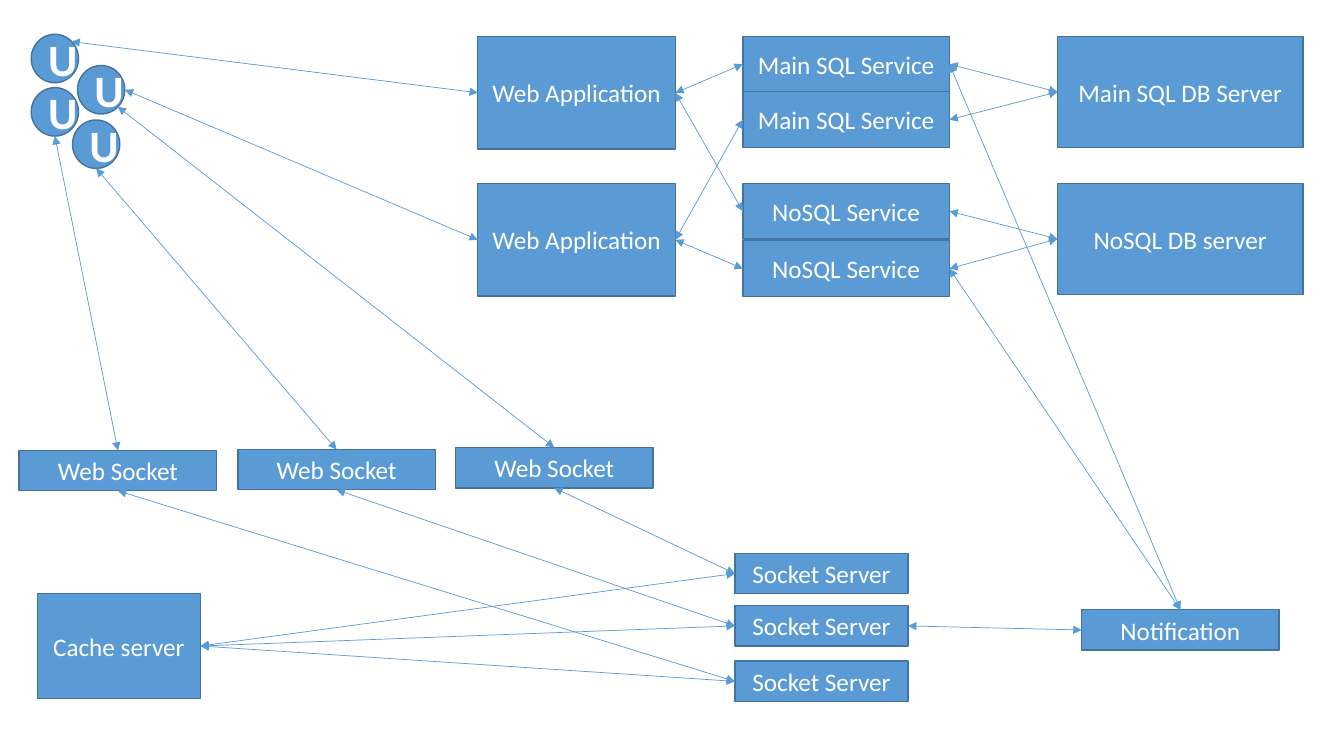
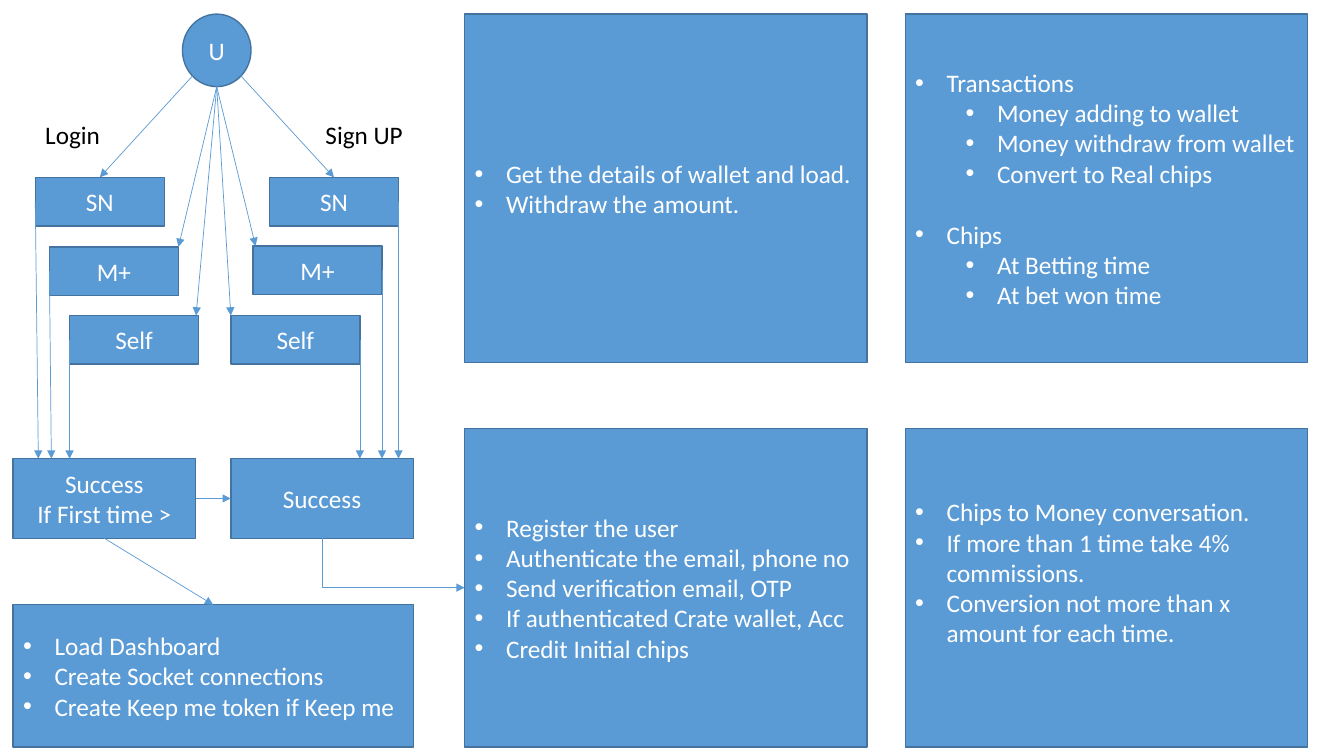
import pptx
import pptx.util
import pptx.dml.color
import pptx.enum.shapes
import pptx.enum.text
import pptx.oxml
import pptx.oxml.ns
from dataclasses import dataclass

Pt = pptx.util.Pt
RGB = pptx.dml.color.RGBColor.from_string
SHAPE = pptx.enum.shapes.MSO_SHAPE
CONNECTOR = pptx.enum.shapes.MSO_CONNECTOR
ALIGN = pptx.enum.text.PP_ALIGN


@dataclass(frozen=True)
class Theme:
    fill: str = "5B9BD5"
    outline: str = "43739E"
    light: str = "FFFFFF"
    dark: str = "000000"
    font: str = "Calibri"
    text_size: float = 18
    user_size: float = 32
    outline_width: float = 1
    arrow_width: float = 0.5
    bullet_indent: float = 22.5
    level_step: float = 36
    group_gap: float = 22


THEME = Theme()

# Architecture content: name, text, left, top; grouped by shared size
USERS = [("user 1", 22.3, 24.5), ("user 2", 55.4, 46.8),
         ("user 3", 22.3, 62.6), ("user 4", 51.8, 85.7)]
USER_SIZE = (33.8, 34.6)
SERVER_GROUPS = [
    ((175.5, 79.4), [("sql db", "Main SQL DB Server", 755.3, 26),
                     ("nosql db", "NoSQL DB server", 755.3, 131)]),
    ((147.6, 39.8), [("sql 1", "Main SQL Service", 530.6, 26),
                     ("sql 2", "Main SQL Service", 530.6, 65.6),
                     ("nosql 1", "NoSQL Service", 530.6, 131),
                     ("nosql 2", "NoSQL Service", 530.6, 172)]),
    ((141.1, 80.6), [("web 1", "Web Application", 341.3, 26),
                     ("web 2", "Web Application", 341.3, 131)]),
    ((123.8, 28.8), [("server 1", "Socket Server", 524.9, 395.3),
                     ("server 2", "Socket Server", 524.9, 432.7),
                     ("server 3", "Socket Server", 524.9, 472.3)]),
    ((141.1, 28.8), [("socket 1", "Web Socket", 13.7, 321.8),
                     ("socket 2", "Web Socket", 169.9, 321.1),
                     ("socket 3", "Web Socket", 325.4, 319.7),
                     ("notification", "Notification", 772.6, 435.6)]),
    ((116.6, 74.9), [("cache", "Cache server", 26.6, 424)]),
]
SERVER_LINKS = [
    ("user 3", "bottom", "socket 1", "top"),
    ("user 1", "top right", "web 1", "left"),
    ("user 2", "right", "web 2", "left"),
    ("user 4", "bottom", "socket 2", "top"),
    ("user 2", "bottom right", "socket 3", "top"),
    ("cache", "right", "server 1", "left"),
    ("cache", "right", "server 2", "left"),
    ("server 3", "left", "cache", "right"),
    ("notification", "left", "server 2", "right"),
    ("socket 1", "bottom", "server 3", "left"),
    ("socket 2", "bottom", "server 2", "left"),
    ("socket 3", "bottom", "server 1", "left"),
    ("sql 1", "right", "sql db", "left"),
    ("sql 2", "right", "sql db", "left"),
    ("nosql 1", "right", "nosql db", "left"),
    ("nosql 2", "right", "nosql db", "left"),
    ("web 1", "right", "sql 1", "left"),
    ("web 1", "right", "nosql 1", "left"),
    ("web 2", "right", "sql 2", "left"),
    ("web 2", "right", "nosql 2", "left"),
    ("sql 1", "right", "notification", "top"),
    ("nosql 2", "right", "notification", "top"),
]

# Sign-in content
CHOICE_SIZE = (92.2, 34.6)
# side, text, left, top, where the spoke arrives, how far in the drop lands
CHOICES = [
    ("login", "SN", 25.2, 126.7, "top", 18),
    ("login", "M+", 35.3, 176.4, (1, 0), 27.3),
    ("login", "Self", 49.7, 225.4, (0.98, 0), 40.3),
    ("signup", "SN", 192.5, 126.7, "top", 119.8),
    ("signup", "M+", 180.7, 175.7, (0.02, 0), 108),
    ("signup", "Self", 164.9, 225.4, (0, 0), 92.2),
]
SPOKE_STARTS = {("login", "SN"): "bottom left", ("signup", "SN"): "bottom right"}
DROP_SIDES = {"login": "left", "signup": "right"}
RESULT_SIZE = (130.3, 56.9)
RESULTS = [("login", "Success\nIf First time >", 9.4, 327.6),
           ("signup", "Success", 164.9, 327.6)]
LABELS = [("Login", 25.2, 81.4, 54, 28.8), ("Sign UP", 225.4, 81.4, 70.6, 28.8)]
# name, box, bullets as (level, text), extra space under the list
PANELS = [
    ("register", (331.9, 306, 287.3, 227.5), [
        (0, "Register the user"),
        (0, "Authenticate the email, phone no"),
        (0, "Send verification email, OTP"),
        (0, "If authenticated Crate wallet, Acc"),
        (0, "Credit Initial chips")], 0),
    ("dashboard", (9.4, 432, 285.8, 101.5), [
        (0, "Load Dashboard"),
        (0, "Create Socket connections"),
        (0, "Create Keep me token if Keep me")], 0),
    ("wallet", (331.9, 10.1, 287.3, 249.1), [
        (0, "Get the details of wallet and load."),
        (0, "Withdraw the amount.")], 0),
    ("transactions", (646.6, 10.1, 287.3, 249.1), [
        (0, "Transactions"),
        (1, "Money adding to wallet"),
        (1, "Money withdraw from wallet"),
        (1, "Convert to Real chips"),
        (0, "Chips"),
        (1, "At Betting time"),
        (1, "At bet won time")], 0),
    ("conversion", (646.6, 306, 287.3, 227.5), [
        (0, "Chips to Money conversation."),
        (0, "If more than 1 time take 4% commissions."),
        (0, "Conversion not more than x amount for each time.")], THEME.group_gap),
]

# Places on a shape's edge, as fractions of its width and height
ANCHORS = {
    "top": (0.5, 0), "left": (0, 0.5), "bottom": (0.5, 1), "right": (1, 0.5),
    "top right": (0.85, 0.15), "bottom left": (0.15, 0.85),
    "bottom right": (0.85, 0.85),
}
RECTANGLE_SITES = {"top": 0, "left": 1, "bottom": 2, "right": 3}


def add_xml(parent, tag, **attributes):
    element = pptx.oxml.parse_xml(f"<a:{tag} {pptx.oxml.ns.nsdecls('a')}/>")
    for name, value in attributes.items():
        element.set(name, str(value))
    parent.append(element)


def format_text(paragraph, color, size=THEME.text_size, bold=False):
    for run in paragraph.runs:
        run.font.name = THEME.font
        run.font.size = Pt(size)
        run.font.bold = bold
        run.font.color.rgb = RGB(color)


def add_box(slide, box, text="", kind=SHAPE.RECTANGLE, size=THEME.text_size, bold=False):
    shape = slide.shapes.add_shape(kind, *map(Pt, box))
    shape.shadow.inherit = False
    shape.fill.solid()
    shape.fill.fore_color.rgb = RGB(THEME.fill)
    shape.line.color.rgb = RGB(THEME.outline)
    shape.line.width = Pt(THEME.outline_width)
    frame = shape.text_frame
    frame.vertical_anchor = pptx.enum.text.MSO_ANCHOR.MIDDLE
    frame.text = text
    for paragraph in frame.paragraphs:
        paragraph.alignment = ALIGN.CENTER
        format_text(paragraph, THEME.light, size, bold)
    return shape


def add_panel(slide, box, bullets, space_below):
    shape = add_box(slide, box, "\n".join(text for level, text in bullets))
    shape.text_frame.margin_bottom = Pt(3.6 + space_below)
    previous_level = 0
    for paragraph, (level, text) in zip(shape.text_frame.paragraphs, bullets):
        paragraph.alignment = ALIGN.LEFT
        paragraph.level = level
        if level < previous_level:
            paragraph.space_before = Pt(THEME.group_gap)
        previous_level = level
        properties = paragraph._p.get_or_add_pPr()
        properties.set("marL", str(Pt(THEME.bullet_indent + level * THEME.level_step)))
        properties.set("indent", str(-Pt(THEME.bullet_indent)))
        add_xml(properties, "buFont", typeface="Arial")
        add_xml(properties, "buChar", char="•")
    return shape


def add_label(slide, text, *box):
    frame = slide.shapes.add_textbox(*map(Pt, box)).text_frame
    frame.word_wrap = False
    frame.auto_size = pptx.enum.text.MSO_AUTO_SIZE.SHAPE_TO_FIT_TEXT
    frame.text = text
    format_text(frame.paragraphs[0], THEME.dark)


def anchor_point(shape, place):
    across, down = ANCHORS.get(place, place)
    return (round(shape.left + across * shape.width),
            round(shape.top + down * shape.height))


def add_arrow(slide, source, source_place, target, target_place,
              both_ends=False, kind=CONNECTOR.STRAIGHT):
    connector = slide.shapes.add_connector(
        kind, *anchor_point(source, source_place), *anchor_point(target, target_place))
    connector.line.color.rgb = RGB(THEME.fill)
    connector.line.width = Pt(THEME.arrow_width)
    properties = connector.element.spPr
    line = properties.find(pptx.oxml.ns.qn("a:ln"))
    if both_ends:
        add_xml(line, "headEnd", type="triangle")
    add_xml(line, "tailEnd", type="triangle")
    add_xml(properties, "effectLst")
    # Glue the ends that sit on a rectangle's connection sites
    if kind == CONNECTOR.STRAIGHT:
        for shape, place, connect in ((source, source_place, connector.begin_connect),
                                      (target, target_place, connector.end_connect)):
            if place in RECTANGLE_SITES and shape.auto_shape_type == SHAPE.RECTANGLE:
                connect(shape, RECTANGLE_SITES[place])
    return connector


def add_corner_arrow(slide, source, target):
    """Runs down from the source, then right into the target."""
    connector = add_arrow(slide, source, "bottom", target, "left", kind=CONNECTOR.ELBOW)
    across, down = connector.width, connector.height
    connector.left += (across - down) // 2
    connector.top += (down - across) // 2
    connector.width, connector.height = down, across
    properties = connector.element.spPr
    properties.find(pptx.oxml.ns.qn("a:prstGeom")).set("prst", "bentConnector2")
    transform = properties.find(pptx.oxml.ns.qn("a:xfrm"))
    transform.set("rot", str(270 * 60000))
    transform.set("flipH", "1")


def build_architecture(slide):
    shapes = {}
    for size, servers in SERVER_GROUPS:
        for name, text, left, top in servers:
            shapes[name] = add_box(slide, (left, top, *size), text)
    for name, left, top in USERS:
        shapes[name] = add_box(slide, (left, top, *USER_SIZE), "U", SHAPE.OVAL,
                               THEME.user_size, True)
    for source, source_place, target, target_place in SERVER_LINKS:
        add_arrow(slide, shapes[source], source_place,
                  shapes[target], target_place, both_ends=True)


def build_sign_in(slide):
    user = add_box(slide, (130.3, 10.1, 49, 51.8), "U", SHAPE.OVAL)
    results = {side: add_box(slide, (left, top, *RESULT_SIZE), text)
               for side, text, left, top in RESULTS}
    panels = {name: add_panel(slide, box, bullets, space_below)
              for name, box, bullets, space_below in PANELS}
    for label in LABELS:
        add_label(slide, *label)

    # Spokes from the user to each choice, drops from each choice to its result
    for side, text, left, top, arrival, drop_offset in CHOICES:
        choice = add_box(slide, (left, top, *CHOICE_SIZE), text)
        add_arrow(slide, user, SPOKE_STARTS.get((side, text), "bottom"), choice, arrival)
        add_arrow(slide, choice, DROP_SIDES[side],
                  results[side], (drop_offset / RESULT_SIZE[0], 0))

    add_arrow(slide, results["login"], "right", results["signup"], "left")
    add_arrow(slide, results["login"], "bottom", panels["dashboard"], "top")
    add_corner_arrow(slide, results["signup"], panels["register"])


presentation = pptx.Presentation()
presentation.slide_width, presentation.slide_height = Pt(960), Pt(540)
blank_layout = presentation.slide_layouts[6]
for build in (build_architecture, build_sign_in):
    build(presentation.slides.add_slide(blank_layout))
presentation.save("out.pptx")
